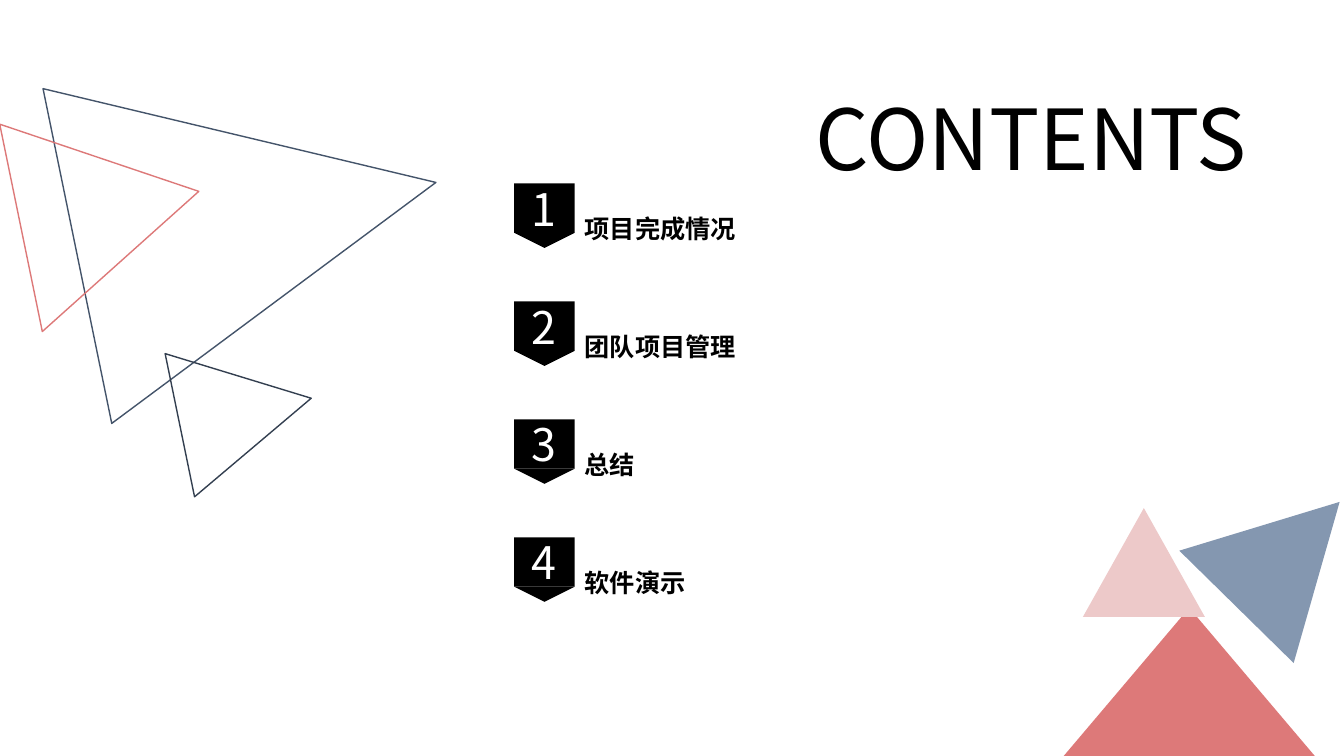
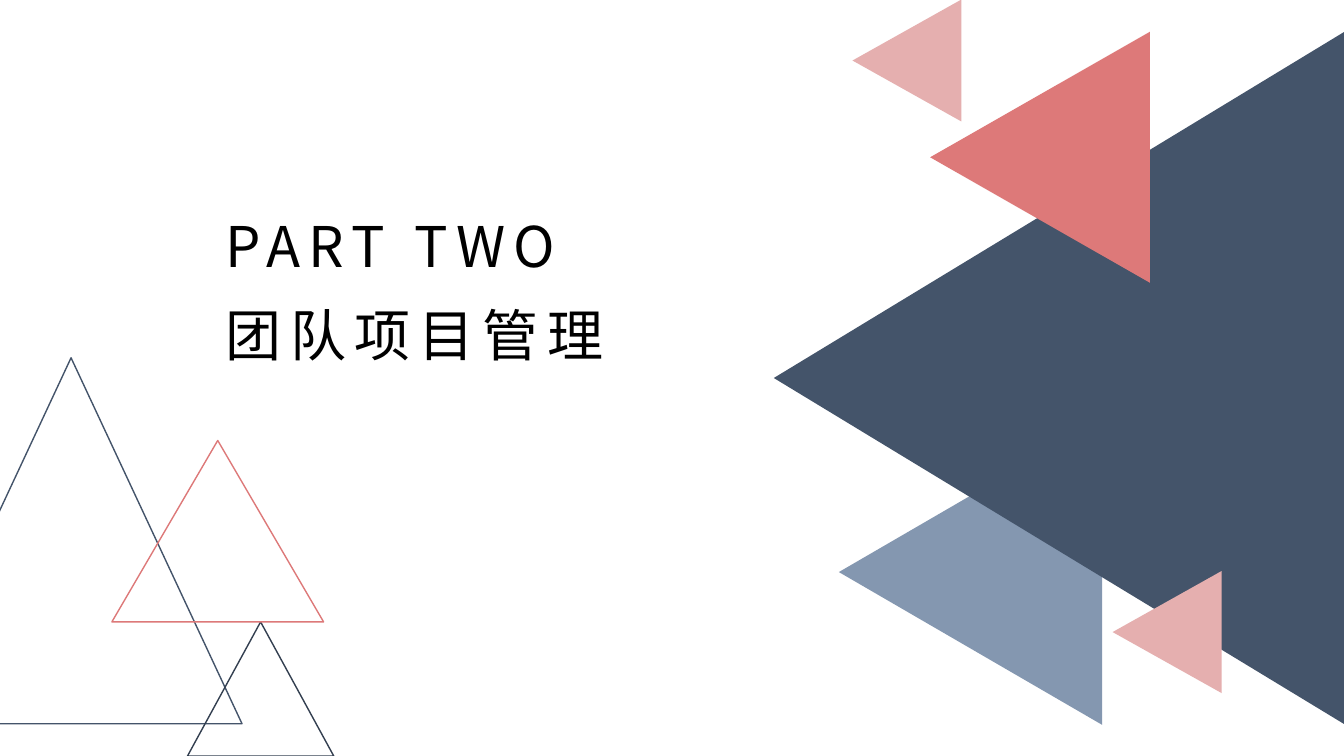
from lxml import etree
from pptx import Presentation
from pptx.dml.color import RGBColor
from pptx.enum.shapes import MSO_SHAPE
from pptx.enum.text import MSO_ANCHOR, MSO_AUTO_SIZE, PP_ALIGN
from pptx.oxml.ns import qn
from pptx.util import Inches, Pt

TRIANGLE, RECTANGLE = MSO_SHAPE.ISOSCELES_TRIANGLE, MSO_SHAPE.RECTANGLE
CENTER, LEFT = PP_ALIGN.CENTER, PP_ALIGN.LEFT
FONT = "Noto Sans CJK SC"
COLORS = {
    "black": "000000",
    "white": "FFFFFF",
    "navy": "44546A",
    "ink": "333F50",
    "steel": "8497B0",
    "coral": "DD7979",
    "rose": "E5AFAF",
    "blush": "EDC9C9",
}
# Outlined triangles that both slides share: width, height, colour
OUTLINES = [(3.39, 3.63, "navy"), (1.45, 1.33, "ink"), (2.1, 1.8, "coral")]


def color(key):
    return RGBColor.from_string(COLORS[key])


def write_text(frame, text, size=18, ink="black", bold=False, align=LEFT,
               line_spacing=None, tracking=0):
    """Fill a frame with one formatted line; tracking is in points."""
    frame.word_wrap = True
    paragraph = frame.paragraphs[0]
    paragraph.alignment = align
    if line_spacing:
        paragraph.line_spacing = line_spacing
    run = paragraph.add_run()
    run.text = text
    font = run.font
    font.size, font.bold = Pt(size), bold
    font.color.rgb = color(ink)
    font.name = FONT
    properties = run._r.get_or_add_rPr()
    etree.SubElement(properties, qn("a:ea")).set("typeface", FONT)
    if tracking:
        properties.set("spc", str(tracking * 100))


def add_text(slide, box, text, inset=(0.1, 0.05), **style):
    label = slide.shapes.add_textbox(*map(Inches, box))
    frame = label.text_frame
    frame.auto_size = MSO_AUTO_SIZE.SHAPE_TO_FIT_TEXT
    frame.margin_left = frame.margin_right = Inches(inset[0])
    frame.margin_top = frame.margin_bottom = Inches(inset[1])
    write_text(frame, text, **style)


def add_figure(slide, kind, box, fill=None, line=None, rotation=0):
    figure = slide.shapes.add_shape(kind, *map(Inches, box))
    figure.shadow.inherit = False
    figure.rotation = rotation
    if fill:
        figure.fill.solid()
        figure.fill.fore_color.rgb = color(fill)
    else:
        figure.fill.background()
    if line:
        figure.line.color.rgb = color(line)
        figure.line.width = Pt(1)
    else:
        figure.line.fill.background()
    return figure


def outline_trio(slide, left, top, offsets, rotation=0):
    """Three outlined triangles, offset from the corner of their region."""
    for (dx, dy), (width, height, line) in zip(offsets, OUTLINES):
        add_figure(slide, TRIANGLE, (left + dx, top + dy, width, height),
                   line=line, rotation=rotation)


def filled_cluster(slide, left, top, triangles):
    """Filled triangles: offset, size, colour and rotation of each."""
    for dx, dy, width, height, fill, rotation in triangles:
        add_figure(slide, TRIANGLE, (left + dx, top + dy, width, height),
                   fill=fill, rotation=rotation)


def agenda_item(slide, left, top, number, topic):
    """A numbered pennant with its topic on the right."""
    width, height = 0.6, 0.49
    badge = add_figure(slide, RECTANGLE, (left, top, width, height), fill="black")
    badge.text_frame.vertical_anchor = MSO_ANCHOR.MIDDLE
    write_text(badge.text_frame, str(number), size=32, ink="white", align=CENTER)
    add_figure(slide, TRIANGLE, (left, top + height, width, 0.15),
               fill="black", rotation=180)
    add_text(slide, (left + width, top + 0.16, 3.56, 0.46), topic,
             bold=True, line_spacing=1.3)


def contents_slide(slide, topics):
    # Triangles, top left and bottom right
    outline_trio(slide, 0, 0, [(0.85, 0.36), (1.71, 3.42), (0.04, 1.18)], 78.4)
    filled_cluster(slide, 10.55, 4.77, [
        (0, 1.26, 2.49, 1.47, "coral", 0),
        (0.19, 0.27, 1.21, 1.08, "blush", 0),
        (1.43, 0, 1.59, 1.46, "steel", 44.5),
    ])
    # Agenda
    for index, topic in enumerate(topics):
        agenda_item(slide, 5.1, 1.82 + 1.17 * index, index + 1, topic)
    # Title
    add_text(slide, (7.64, 0.81, 5.17, 1.11), "CONTENTS", size=60, align=CENTER)


def section_slide(slide, part, topic):
    # Triangles pointing left, right side
    filled_cluster(slide, 7, 0, [
        (1.11, 4.37, 3.03, 2.61, "steel", 270),
        (0.07, 0.92, 6.87, 5.66, "navy", 270),
        (2.07, 0.47, 2.49, 2.18, "coral", 270),
        (1.39, 0.06, 1.21, 1.08, "rose", 270),
        (3.97, 5.73, 1.21, 1.08, "rose", 270),
    ])
    # Outlines, bottom left
    outline_trio(slide, -0.99, 3.55, [(0, 0), (2.85, 2.62), (2.1, 0.82)])
    # Part number and topic
    for index, text in enumerate((part, topic)):
        add_text(slide, (2.11, 2.03 + 0.88 * index, 4.56, 0.81), text,
                 inset=(0.13, 0.07), size=40, tracking=6)


def main():
    deck = Presentation()
    deck.slide_width, deck.slide_height = Inches(13.33), Inches(7.5)
    blank = deck.slide_layouts[6]
    topics = ["项目完成情况", "团队项目管理", "总结", "软件演示"]
    contents_slide(deck.slides.add_slide(blank), topics)
    section_slide(deck.slides.add_slide(blank), "PART TWO", topics[1])
    deck.save("out.pptx")


if __name__ == "__main__":
    main()
